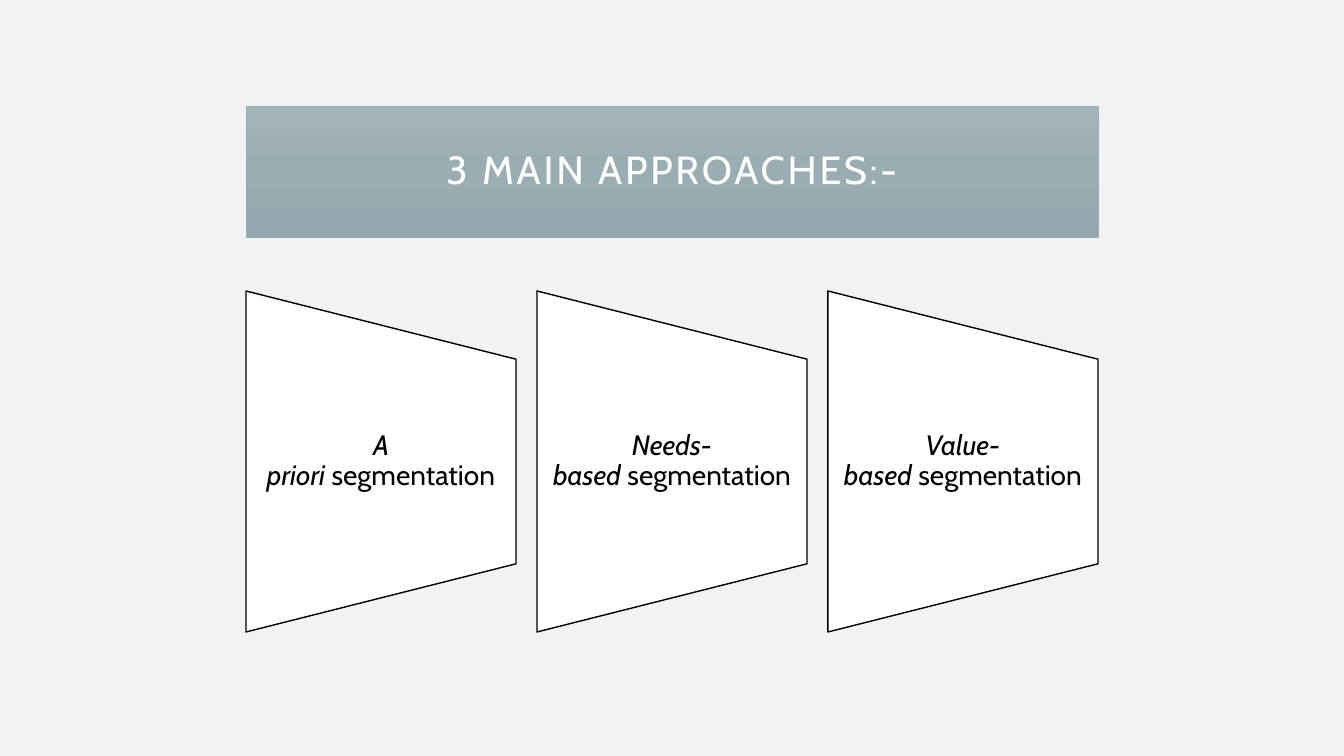
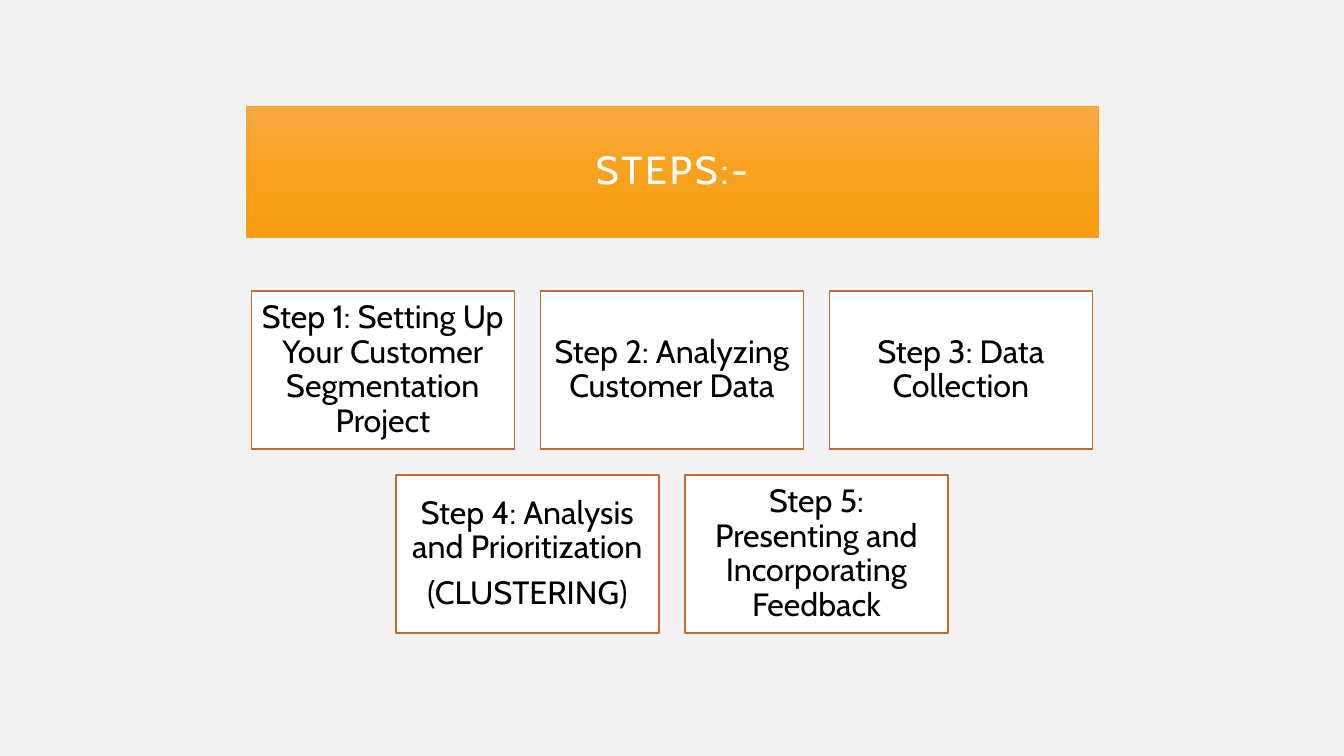
from copy import deepcopy

from pptx import Presentation
from pptx.dml.color import RGBColor
from pptx.enum.shapes import MSO_SHAPE
from pptx.enum.text import MSO_ANCHOR, PP_ALIGN
from pptx.oxml.ns import qn
from pptx.util import Emu, Pt

FONT = "Cabin"
NBSP = chr(160)
BACKGROUND, WHITE, BLACK, RUST = "F2F2F2", "FFFFFF", "000000", "C96731"
BLUE_BAND = ("A3B4BA", "9AADB3", "92A7AE")
ORANGE_BAND = ("F8A945", "F9A21D", "F99C0E")
TITLE_BOX = (246, 106, 852, 131)
BODY_BOX = (246, 291, 852, 341)


def px(n):
    return Emu(round(n * 12192000 / 1344))


def rgb(value):
    return RGBColor.from_string(value)


def add_box(s, shape, box, line, line_width=1):
    sp = s.shapes.add_shape(shape, *map(px, box))
    sp.shadow.inherit = False
    sp.fill.solid()
    sp.fill.fore_color.rgb = rgb(WHITE)
    sp.line.color.rgb = rgb(line)
    sp.line.width = Pt(line_width)
    return sp


def write(sp, paragraphs, size, color, inset_x, inset_y):
    """Each paragraph is a list of (text, italic) runs."""
    tf = sp.text_frame
    tf.word_wrap = True
    tf.vertical_anchor = MSO_ANCHOR.MIDDLE
    tf.margin_left = tf.margin_right = px(inset_x)
    tf.margin_top = tf.margin_bottom = px(inset_y)
    for i, runs in enumerate(paragraphs):
        p = tf.add_paragraph() if i else tf.paragraphs[0]
        p.alignment = PP_ALIGN.CENTER
        p.line_spacing = 0.9
        p.space_before = Pt(8 if i else 0)
        p.font.name = FONT
        p.font.size = Pt(size)
        p.font.color.rgb = rgb(color)
        for text, italic in runs:
            r = p.add_run()
            r.text = text
            if italic:
                r.font.italic = True


def add_title(s, text, band, box=TITLE_BOX):
    sp = add_box(s, MSO_SHAPE.RECTANGLE, box, band[1], 0.25)
    sp.fill.gradient()
    sp.fill.gradient_angle = 270
    # A third stop halfway down
    stops = sp._element.spPr.find(qn("a:gradFill")).find(qn("a:gsLst"))
    stops.insert(1, deepcopy(stops[0]))
    for i, (stop, color) in enumerate(zip(sp.fill.gradient_stops, band)):
        stop.position = i / 2
        stop.color.rgb = rgb(color)
    write(sp, [[(text, False)]], 28, WHITE, 20, 20)
    # Letter spacing of 2 pt
    sp.text_frame.paragraphs[0].runs[0].font._element.set("spc", "200")


def add_approaches(s, box, approaches):
    left, top, width, height = box
    w = 270
    step = (width - w) / (len(approaches) - 1)
    for i, (name, italic_space) in enumerate(approaches):
        x = left + i * step
        # Turned a quarter, so width and height swap around the same centre
        turned = (x + (w - height) / 2, top + (height - w) / 2, height, w)
        sp = add_box(s, MSO_SHAPE.FLOWCHART_MANUAL_OPERATION, turned, BLACK)
        sp.rotation = 270
        # Upright label over the middle three fifths
        label = (x, top + height / 5, w, height * 3 / 5)
        tb = s.shapes.add_textbox(*map(px, label))
        if italic_space:
            runs = [(name + NBSP, True), ("segmentation", False)]
        else:
            runs = [(name, True), (NBSP + "segmentation", False)]
        write(tb, [runs], 20, BLACK, 14, 0)


def add_steps(s, box, rows):
    left, top, width, _ = box
    w, h, gap = 263, 158, 26
    for i, row in enumerate(rows):
        row_width = len(row) * (w + gap) - gap
        x = left + (width - row_width) / 2
        for j, lines in enumerate(row):
            cell = (x + j * (w + gap), top + i * (h + gap), w, h)
            sp = add_box(s, MSO_SHAPE.RECTANGLE, cell, RUST)
            write(sp, [[(line, False)] for line in lines], 23, BLACK, 10, 10)


def add_slide(prs, title, band):
    s = prs.slides.add_slide(prs.slide_layouts[6])
    s.background.fill.solid()
    s.background.fill.fore_color.rgb = rgb(BACKGROUND)
    add_title(s, title, band)
    return s


def main():
    prs = Presentation()
    prs.slide_width, prs.slide_height = px(1344), px(756)

    # Approaches: name, and whether the space after it is italic
    s = add_slide(prs, "3 MAIN APPROACHES:-", BLUE_BAND)
    add_approaches(s, BODY_BOX, [
        ("A priori", False),
        ("Needs-based", False),
        ("Value-based", True),
    ])

    # Steps
    s = add_slide(prs, "STEPS:-", ORANGE_BAND)
    add_steps(s, BODY_BOX, [
        [["Step 1: Setting Up Your Customer Segmentation Project"],
         ["Step 2: Analyzing Customer Data"],
         ["Step 3: Data Collection"]],
        [["Step 4: Analysis and Prioritization", "(CLUSTERING)"],
         ["Step 5: Presenting and Incorporating Feedback"]],
    ])

    prs.save("out.pptx")


if __name__ == "__main__":
    main()
